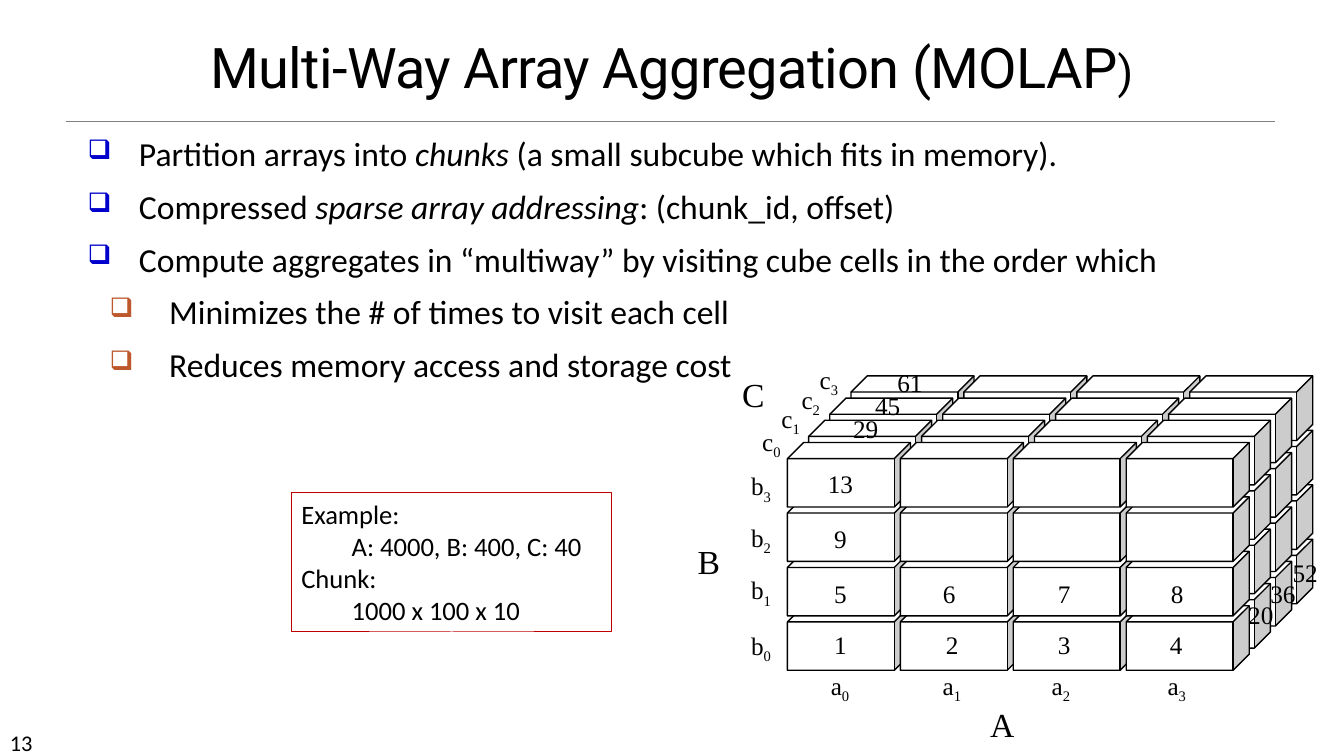
from lxml import etree
from pptx import Presentation
from pptx import util as u
from pptx.dml import color
from pptx.enum import shapes, text
from pptx.oxml import ns

PX = 9144
ALIGN = text.PP_ALIGN
MIDDLE = ALIGN.CENTER


def paint(code):
    return color.RGBColor.from_string(code)


def lower(run):
    run._r.get_or_add_rPr().set("baseline", "-25000")


def slant(run):
    run.font.italic = True


def shrink(run):
    run.font.size = u.Pt(32)


class Deck:
    """Draws styled elements on one slide, with lengths in px."""

    ink = "000000"
    sans = "Calibri"
    serif = "Times New Roman"

    def __init__(self, wide, high):
        self.deck = Presentation()
        self.deck.slide_width, self.deck.slide_height = wide * PX, high * PX
        self.slide = self.deck.slides.add_slide(self.deck.slide_layouts[5])
        self.items = self.slide.shapes

    def letter(self, frame, lines, size, font, align=ALIGN.LEFT, mark=None):
        frame.text = "\n".join(line.replace("|", "") for line in lines)
        for para, line in zip(frame.paragraphs, lines):
            para.alignment = align
            parts = line.split("|")
            para.runs[0].text = parts[0]
            for part in parts[1:]:
                para.add_run().text = part
            for run in para.runs:
                run.font.size, run.font.name = u.Pt(size), font
                run.font.color.rgb = paint(self.ink)
            for run in para.runs[1::2]:
                mark(run)

    def title(self, line, x, y, w, h):
        head = self.items.title
        head.left, head.top, head.width, head.height = [n * PX for n in (x, y, w, h)]
        frame = head.text_frame
        frame.auto_size = text.MSO_AUTO_SIZE.NONE
        frame.vertical_anchor = text.MSO_ANCHOR.BOTTOM
        self.letter(frame, [line], 40, "Roboto", MIDDLE, shrink)
        para = frame.paragraphs[0]
        para.line_spacing = 0.85
        for run in para.runs:
            run._r.get_or_add_rPr().set("spc", "-50")

    def rule(self, x, y, end):
        line = self.items.add_connector(
            shapes.MSO_CONNECTOR.STRAIGHT, x * PX, y * PX, end * PX, y * PX)
        line.line.color.rgb, line.line.width = paint("808080"), u.Pt(0.5)
        etree.SubElement(line._element.spPr, ns.qn("a:effectLst"))

    def box(self, lines, x, y, w, h, size, font, **style):
        frame = self.items.add_textbox(x * PX, y * PX, w * PX, h * PX).text_frame
        frame.word_wrap = True
        self.letter(frame, lines, size, font, **style)
        return frame

    def label(self, line, x, y, w, h=30, size=18, wrap=False, align=ALIGN.LEFT):
        frame = self.box([line], x, y, w, h, size, self.serif, align=align, mark=lower)
        frame.margin_left = frame.margin_right = 0
        frame.margin_top = frame.margin_bottom = 0
        frame.word_wrap = wrap
        frame.auto_size = text.MSO_AUTO_SIZE.SHAPE_TO_FIT_TEXT

    def value(self, line, x, y, w=37):
        self.label(line, x, y, w, wrap=True, align=MIDDLE)

    def bullets(self, rows, x, y, w, h):
        frame = self.box([line for _, line in rows], x, y, w, h, 24, self.sans, mark=slant)
        levels = [(51, 51, "0000CC"), (81, 59, "BD582C")]
        for place, (para, (level, _)) in enumerate(zip(frame.paragraphs, rows)):
            left, hang, tint = levels[level]
            para.level = level
            para.line_spacing = 1.1
            para.space_before = u.Pt(6 if place else 0)
            props = para._p.get_or_add_pPr()
            props.set("marL", str(left * PX))
            props.set("indent", str(-hang * PX))
            hue = etree.SubElement(props, ns.qn("a:buClr"))
            etree.SubElement(hue, ns.qn("a:srgbClr"), val=tint)
            etree.SubElement(props, ns.qn("a:buSzPct"), val="80000")
            etree.SubElement(props, ns.qn("a:buChar"), char="❑")

    def shape(self, kind, x, y, w, h, edge, width, fill=None):
        form = self.items.add_shape(kind, x * PX, y * PX, w * PX, h * PX)
        form.shadow.inherit = False
        if fill:
            form.fill.solid()
            form.fill.fore_color.rgb = paint(fill)
        else:
            form.fill.background()
        form.line.color.rgb, form.line.width = paint(edge), u.Pt(width)
        return form

    def cube(self, x, y):
        self.shape(shapes.MSO_SHAPE.CUBE, x, y, 122, 64, self.ink, 1, "FFFFFF")

    def note(self, lines, x, y, w, h):
        frame = self.shape(shapes.MSO_SHAPE.RECTANGLE, x, y, w, h, "C00000", 0.75).text_frame
        frame.vertical_anchor = text.MSO_ANCHOR.TOP
        self.letter(frame, lines, 19, self.sans)
        for para in frame.paragraphs[1::2]:
            para._p.get_or_add_pPr().set("marL", str(50 * PX))


def main():
    deck = Deck(1333, 750)
    deck.rule(65, 120, 1265)
    deck.box(["13"], 0, 718, 117, 30, 16, deck.sans)
    deck.title("Multi-Way Array Aggregation (MOLAP|)", 0, 25, 1333, 79)
    deck.bullets([
        (0, "Partition arrays into |chunks| (a small subcube which fits in memory)."),
        (0, "Compressed |sparse array addressing|: (chunk_id, offset)"),
        (0, "Compute aggregates in “multiway” by visiting cube cells in the order which"),
        (1, "Minimizes the # of times to visit each cell"),
        (1, "Reduces memory access and storage cost"),
    ], 77, 123, 1147, 250)

    for name, x, y in [("A", 982, 698), ("B", 692, 537), ("C", 736, 371)]:
        deck.label(name, x, y, 23, 40, 24)
    ticks = {
        "a": [(824, 665), (935, 665), (1043, 665), (1158, 665)],
        "b": [(745, 625), (745, 570), (745, 518), (745, 467)],
        "c": [(756, 423), (775, 400), (795, 381), (813, 361)],
    }
    for name, spots in ticks.items():
        for place, (x, y) in enumerate(spots):
            deck.label(f"{name}|{place}", x, y, 20)

    for row in range(4):
        for depth in reversed(range(4)):
            for col in range(4):
                deck.cube(781 + 112 * col + 21 * depth, 601 - 54 * row - 22 * depth)

    for col in range(4):
        deck.value(str(1 + col), 815 + 111 * col, 624)
    for col, x in enumerate([815, 923, 1037, 1149]):
        deck.value(str(5 + col), x, 574)
    deck.value("9", 815, 519)
    deck.value("13", 815, 465)
    for step in range(3):
        deck.value(str(29 + 16 * step), 824 + 22 * step, 410 - 23 * step, 69)
        deck.value(str(20 + 16 * step), 1216 + 22 * step, 595 - 21 * step, 69)

    deck.note(["Example:", "A: 4000, B: 400, C: 40", "Chunk:", "1000 x 100 x 10"],
              289, 489, 318, 138)
    deck.deck.save("out.pptx")


if __name__ == "__main__":
    main()
